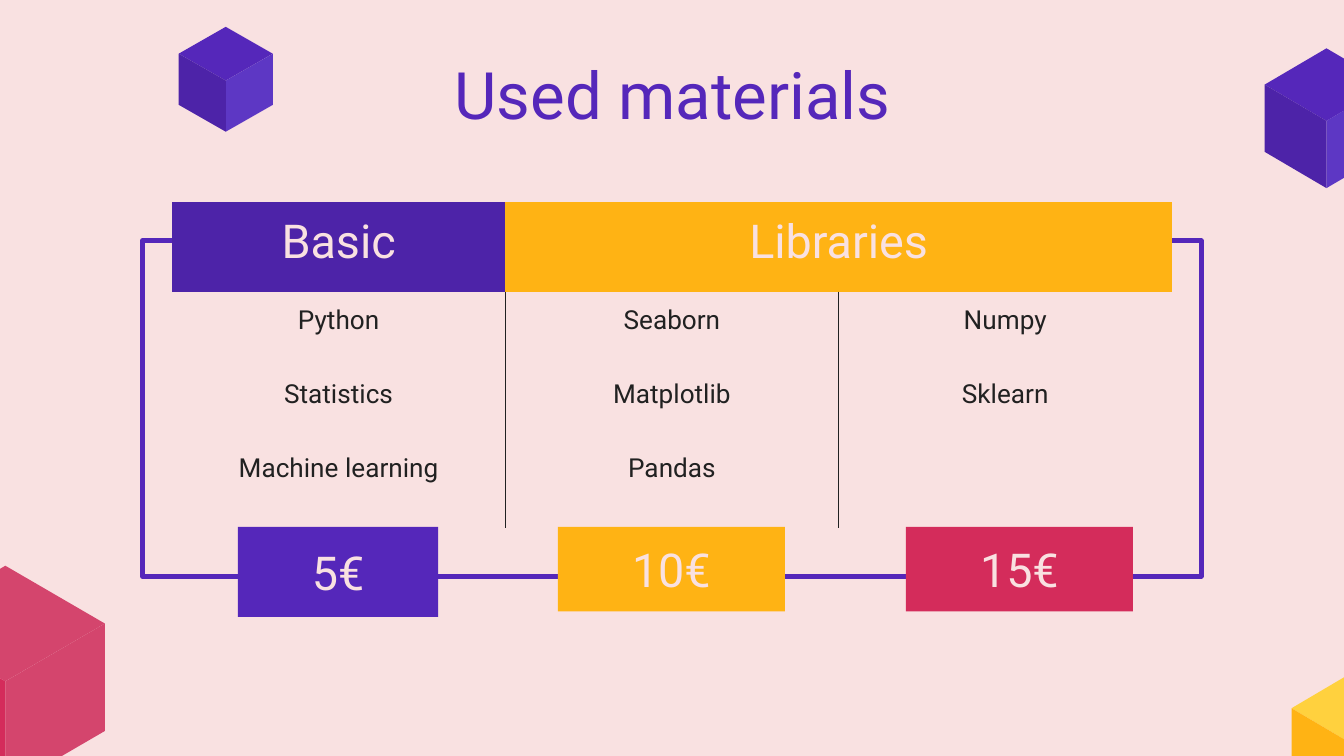
from dataclasses import dataclass

from lxml import etree
from pptx import Presentation
from pptx.dml.color import RGBColor
from pptx.enum import shapes, text
from pptx.oxml import ns
from pptx.util import Inches, Pt

COLORS = {
    "blush": "F9E1E1", "ink": "212121",
    "violet": "5527BA", "violet_light": "5D37C4", "violet_dark": "4D23A8",
    "amber": "FFB314", "amber_light": "FFD13E",
    "crimson": "D42C5B", "rose": "D4456D",
}
FONT = "Roboto"
NO_GRID_STYLE = "{2D5ABB26-0587-4C30-8999-92F81FD0307C}"


@dataclass
class Cube:
    """Isometric cube: top vertex, half width, slope of the edges, side height."""
    x: float
    y: float
    half: float
    rise: float
    side: float
    top: str
    left: str
    right: str | None  # None when that face lies beyond the slide edge


@dataclass
class Price:
    label: str
    left: float
    width: float
    height: float
    color: str


CUBES = [
    Cube(1.68, 0.2, 0.35, 0.2, 0.38, "violet", "violet_dark", "violet_light"),
    Cube(9.87, 0.36, 0.46, 0.27, 0.5, "violet", "violet_dark", "violet_light"),
    Cube(10, 5.04, 0.39, 0.23, 0.42, "amber_light", "amber", None),
    Cube(0.04, 4.21, 0.74, 0.43, 0.8, "rose", "crimson", "rose"),
]
PRICES = [
    Price("5€", 1.77, 1.49, 0.67, "violet"),
    Price("10€", 4.15, 1.69, 0.63, "amber"),
    Price("15€", 6.74, 1.69, 0.63, "crimson"),
]
MATERIALS = [
    ["Python", "Seaborn", "Numpy"],
    ["Statistics", "Matplotlib", "Sklearn"],
    ["Machine learning", "Pandas", ""],
]
ROW_HEIGHTS = [0.67, 0.55, 0.55, 0.66]
COLUMN_WIDTH = 2.48


def rgb(name: str) -> RGBColor:
    return RGBColor.from_string(COLORS[name])


def write(frame, words: str, size: float, color: str) -> None:
    """Put one centred line of text into a text frame."""
    line = frame.paragraphs[0]
    line.text = words
    line.alignment = text.PP_ALIGN.CENTER
    line.font.name = FONT
    line.font.size = Pt(size)
    line.font.color.rgb = rgb(color)


def set_insets(target) -> None:
    for side in ("left", "right", "top", "bottom"):
        setattr(target, f"margin_{side}", Inches(0.1))


def draw_face(slide, points: list[tuple[float, float]], color: str) -> None:
    corners = [(Inches(x), Inches(y)) for x, y in points]
    builder = slide.shapes.build_freeform(*corners[0])
    builder.add_line_segments(corners[1:], close=True)
    face = builder.convert_to_shape()
    face.shadow.inherit = False
    face.fill.solid()
    face.fill.fore_color.rgb = rgb(color)
    face.line.fill.background()


def draw_cube(slide, cube: Cube) -> None:
    shoulder = cube.y + cube.rise
    middle = shoulder + cube.rise
    draw_face(slide, [(cube.x, cube.y), (cube.x - cube.half, shoulder),
                      (cube.x, middle), (cube.x + cube.half, shoulder)], cube.top)
    for direction, color in ((1, cube.right), (-1, cube.left)):
        if color:
            edge = cube.x + direction * cube.half
            draw_face(slide, [(edge, shoulder), (cube.x, middle),
                              (cube.x, middle + cube.side),
                              (edge, shoulder + cube.side)], color)


def add_rectangle(slide, left: float, top: float, width: float, height: float):
    box = slide.shapes.add_shape(
        shapes.MSO_SHAPE.RECTANGLE,
        Inches(left), Inches(top), Inches(width), Inches(height))
    box.shadow.inherit = False
    return box


def draw_price(slide, price: Price) -> None:
    box = add_rectangle(slide, price.left, 3.92, price.width, price.height)
    box.fill.solid()
    box.fill.fore_color.rgb = rgb(price.color)
    box.line.fill.background()
    set_insets(box.text_frame)
    box.text_frame.vertical_anchor = text.MSO_ANCHOR.MIDDLE
    write(box.text_frame, price.label, 25, "blush")


def add_borders(cell, sides: list[str]) -> None:
    properties = cell._tc.get_or_add_tcPr()
    for position, side in enumerate(sides):
        border = etree.Element(ns.qn(f"a:ln{side}"), w=str(Pt(0.75)))
        fill = etree.SubElement(border, ns.qn("a:solidFill"))
        etree.SubElement(fill, ns.qn("a:srgbClr"), val=COLORS["ink"])
        properties.insert(position, border)


def draw_materials(slide) -> None:
    columns = len(MATERIALS[0])
    table = slide.shapes.add_table(
        len(ROW_HEIGHTS), columns, Inches(1.28), Inches(1.5),
        Inches(COLUMN_WIDTH * columns), Inches(sum(ROW_HEIGHTS))).table
    table._tbl.tblPr.find(ns.qn("a:tableStyleId")).text = NO_GRID_STYLE
    for column in table.columns:
        column.width = Inches(COLUMN_WIDTH)
    for row, height in zip(table.rows, ROW_HEIGHTS):
        row.height = Inches(height)

    table.cell(0, 1).merge(table.cell(0, 2))
    for index, (heading, color) in enumerate(
            [("Basic", "violet_dark"), ("Libraries", "amber")]):
        cell = table.cell(0, index)
        set_insets(cell)
        cell.fill.solid()
        cell.fill.fore_color.rgb = rgb(color)
        write(cell.text_frame, heading, 25, "blush")

    for r, names in enumerate(MATERIALS, start=1):
        for c, name in enumerate(names):
            cell = table.cell(r, c)
            set_insets(cell)
            cell.fill.background()
            write(cell.text_frame, name, 14, "ink")
            add_borders(cell, ["L"] * (c > 0) + ["R"] * (c < columns - 1))


def draw_title(slide) -> None:
    title = slide.shapes.title
    title.left, title.top = Inches(0.79), Inches(0.52)
    title.width, title.height = Inches(8.43), Inches(0.53)
    frame = title.text_frame
    set_insets(frame)
    frame.auto_size = text.MSO_AUTO_SIZE.NONE
    frame.vertical_anchor = text.MSO_ANCHOR.MIDDLE
    write(frame, "Used materials", 35, "violet")
    frame.paragraphs[0].line_spacing = 0.6


def main() -> None:
    deck = Presentation()
    deck.slide_width = Inches(10)
    deck.slide_height = Inches(10 * 9 / 16)
    slide = deck.slides.add_slide(deck.slide_layouts[5])
    slide.background.fill.solid()
    slide.background.fill.fore_color.rgb = rgb("blush")

    for cube in CUBES:
        draw_cube(slide, cube)
    outline = add_rectangle(slide, 1.06, 1.79, 7.88, 2.5)
    outline.fill.background()
    outline.line.color.rgb = rgb("violet")
    outline.line.width = Pt(2.25)
    draw_title(slide)
    for price in PRICES:
        draw_price(slide, price)
    draw_materials(slide)
    deck.save("out.pptx")


if __name__ == "__main__":
    main()
